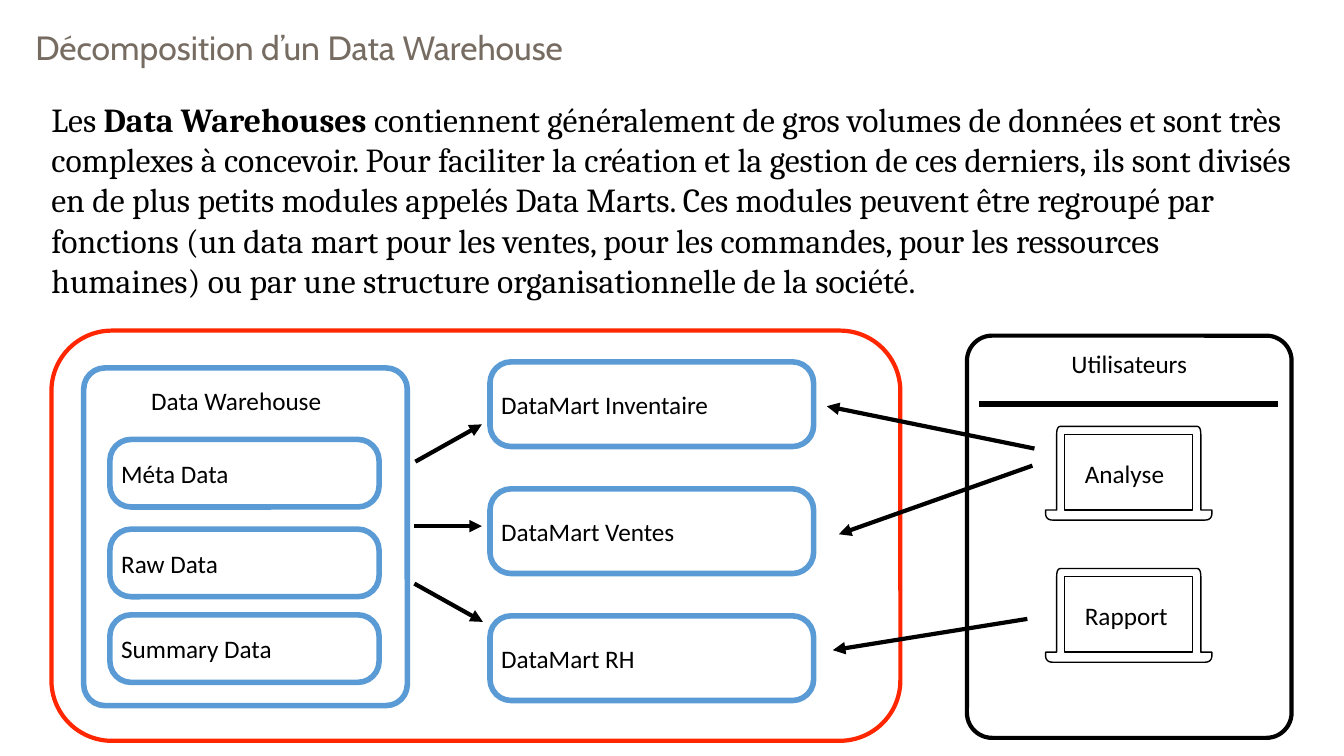
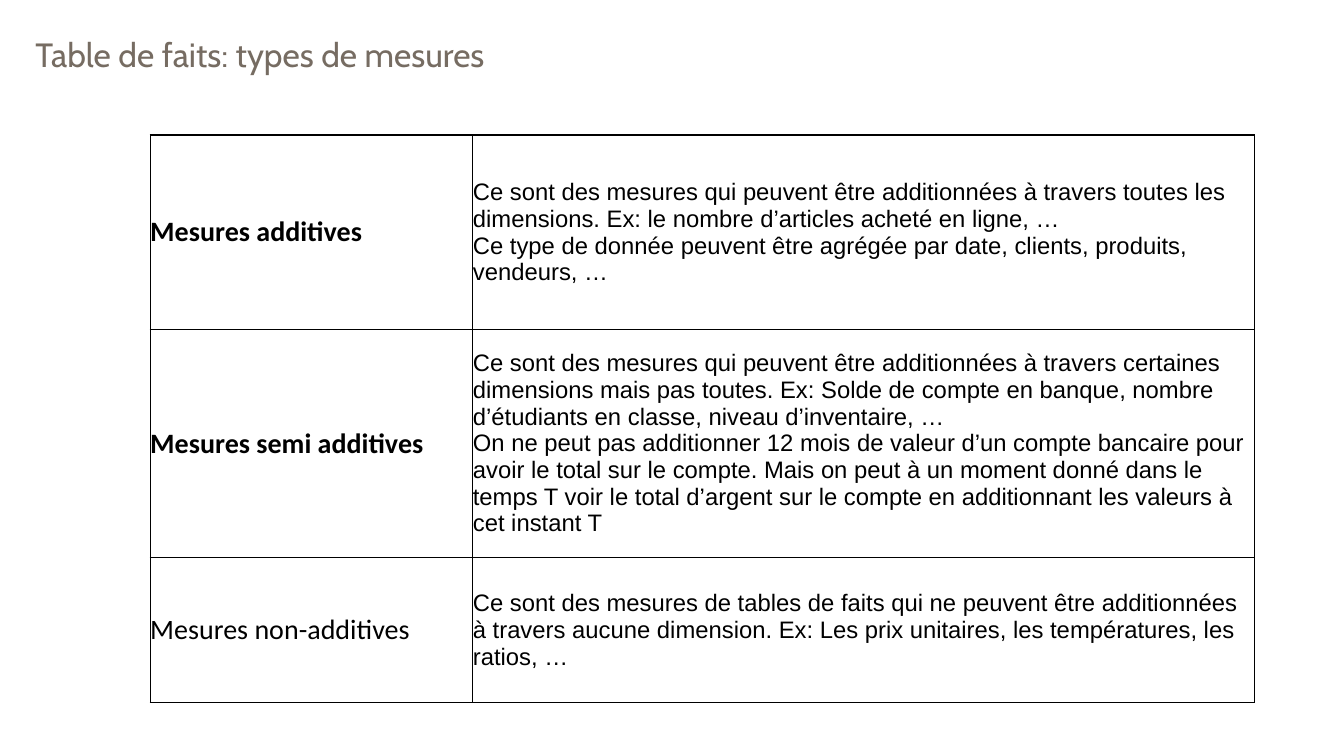
import lxml.etree
import pptx
import pptx.dml.color
import pptx.enum.shapes
import pptx.enum.text
import pptx.oxml
import pptx.oxml.ns
import pptx.util

PX = 9144  # EMU per px, 100 px to the inch
BLACK, WHITE, BLUE, RED, TAUPE = "000000", "FFFFFF", "5B9BD5", "FF2600", "766C62"
SHAPES = pptx.enum.shapes.MSO_SHAPE
ALIGN = pptx.enum.text.PP_ALIGN
ANCHOR = pptx.enum.text.MSO_ANCHOR
FIT = pptx.enum.text.MSO_AUTO_SIZE


def rgb(value):
    return pptx.dml.color.RGBColor.from_string(value)


def emu(*lengths):
    return [length * PX for length in lengths]


def sub(parent, tag, **attrs):
    return lxml.etree.SubElement(parent, pptx.oxml.ns.qn(tag), **attrs)


def write(tf, text, size=18, font="Calibri", color=BLACK, bold=False,
          align=ALIGN.LEFT, anchor=ANCHOR.MIDDLE, spacing=None, inset=5):
    """Fill a text frame; text is a string or a list of (string, bold) runs."""
    tf.margin_left = tf.margin_right = tf.margin_top = tf.margin_bottom = inset * PX
    tf.vertical_anchor = anchor
    p = tf.paragraphs[0]
    p.alignment, p.line_spacing = align, spacing
    for words, strong in [(text, bold)] if isinstance(text, str) else text:
        for i, line in enumerate(words.split("\n")):
            if i:
                p.add_line_break()
            r = p.add_run()
            r.text = line
            r.font.size, r.font.name = pptx.util.Pt(size), font
            r.font.bold, r.font.color.rgb = strong, rgb(color)


def curve(start, corner, end, steps=6):
    """Points of a rounded corner."""
    ts = [i / steps for i in range(steps + 1)]
    return [tuple((1 - t) ** 2 * a + 2 * t * (1 - t) * b + t * t * c
                  for a, b, c in zip(start, corner, end)) for t in ts]


class Deck:
    def __init__(self, width, height):
        self.prs = pptx.Presentation()
        self.prs.slide_width, self.prs.slide_height = emu(width, height)
        self.s = None

    def slide(self, title, top):
        self.s = self.prs.slides.add_slide(self.prs.slide_layouts[5])
        self.s.background.fill.solid()
        self.s.background.fill.fore_color.rgb = rgb(WHITE)
        sp = self.s.shapes.title
        sp.left, sp.top, sp.width, sp.height = emu(30, top, 1085, 50)
        sp.text_frame.word_wrap = True
        sp.text_frame.auto_size = FIT.NONE
        write(sp.text_frame, title, size=24, font="Cabin", color=TAUPE, spacing=0.9)

    def style(self, sp, line, weight):
        sp.shadow.inherit = False
        sp.fill.solid()
        sp.fill.fore_color.rgb = rgb(WHITE)
        sp.line.color.rgb = rgb(line)
        sp.line.width = pptx.util.Pt(weight)

    def text(self, x, y, w, h, text, wrap=False, **fmt):
        tf = self.s.shapes.add_textbox(*emu(x, y, w, h)).text_frame
        tf.word_wrap = wrap
        tf.auto_size = FIT.SHAPE_TO_FIT_TEXT
        write(tf, text, anchor=ANCHOR.TOP, **fmt)

    def box(self, x, y, w, h, text="", line=BLUE, weight=4, radius=21, **fmt):
        sp = self.s.shapes.add_shape(SHAPES.ROUNDED_RECTANGLE, *emu(x, y, w, h))
        sp.adjustments[0] = radius / min(w, h)
        self.style(sp, line, weight)
        if text:
            sp.text_frame.word_wrap = True
            write(sp.text_frame, text, **fmt)

    def line(self, x1, y1, x2, y2, weight=3, arrow=True):
        kind = pptx.enum.shapes.MSO_CONNECTOR.STRAIGHT
        cx = self.s.shapes.add_connector(kind, *emu(x1, y1, x2, y2))
        cx.line.color.rgb = rgb(BLACK)
        cx.line.width = pptx.util.Pt(weight)
        if arrow:
            sub(cx.line._get_or_add_ln(), "a:tailEnd", type="triangle")
        sub(cx._element.spPr, "a:effectLst")

    def laptop(self, x, y, w=165):
        half = (curve((15, 0), (11, 0), (11, 8)) + [(11, 83), (0, 83)]
                + curve((0, 86), (0, 93), (7, 93)))
        outline = half + [(w - px, py) for px, py in reversed(half)]
        screen = [(19, 8), (w - 19, 8), (w - 19, 83), (19, 83)]
        fb = None
        for contour in (outline, screen):
            points = [emu(x + px, y + py) for px, py in contour]
            if fb is None:
                fb = self.s.shapes.build_freeform(*points[0], scale=1.0)
            else:
                fb.move_to(*points[0])
            fb.add_line_segments(points[1:], close=True)
        self.style(fb.convert_to_shape(), BLACK, 1)

    def table(self, x, y, widths, heights, rows, formats):
        frame = self.s.shapes.add_table(len(rows), len(widths),
                                        *emu(x, y, sum(widths), sum(heights)))
        table = frame.table
        table.first_row = table.horz_banding = False
        for col, width in zip(table.columns, widths):
            col.width = width * PX
        for i, (height, row) in enumerate(zip(heights, rows)):
            table.rows[i].height = height * PX
            for j, (text, fmt) in enumerate(zip(row, formats)):
                self.cell(table.cell(i, j), text, fmt)

    def cell(self, cell, text, fmt):
        # Borders come before the fill in the cell properties
        tcPr = cell._tc.get_or_add_tcPr()
        for side in "LRTB":
            ln = sub(tcPr, "a:ln" + side, w=str(pptx.util.Pt(1)))
            sub(sub(ln, "a:solidFill"), "a:srgbClr", val=BLACK)
        cell.fill.solid()
        cell.fill.fore_color.rgb = rgb(WHITE)
        cell.margin_left = cell.margin_right = cell.margin_top = cell.margin_bottom = 0
        cell.vertical_anchor = ANCHOR.MIDDLE
        write(cell.text_frame, text, inset=0, **fmt)


def warehouse_slide(deck):
    deck.slide("Décomposition d’un Data Warehouse", 24)
    deck.text(46, 93, 1262, 211, [
        ("Les ", False), ("Data Warehouses ", True),
        ("contiennent généralement de gros volumes de données et sont très complexes "
         "à concevoir. Pour faciliter la création et la gestion de ces derniers, ils "
         "sont divisés en de plus petits modules appelés Data Marts. Ces modules "
         "peuvent être regroupé par fonctions (un data mart pour les ventes, pour les "
         "commandes, pour les ressources humaines) ou par une structure "
         "organisationnelle de la société.", False),
    ], wrap=True, size=24, font="Cambria")

    # Frames
    deck.box(51, 328, 842, 407, line=RED, weight=3, radius=60)
    deck.box(959, 333, 322, 399, "Utilisateurs", line=BLACK, weight=3, radius=25,
             align=ALIGN.CENTER, anchor=ANCHOR.TOP)
    deck.line(971, 401, 1268, 401, weight=4, arrow=False)

    # Warehouse and data marts
    deck.box(83, 365, 321, 335)
    deck.text(145, 377, 191, 39, "Data Warehouse")
    for y, name in ((436, "Méta Data"), (525, "Raw Data"), (610, "Summary Data")):
        deck.box(109, y, 267, 67, name)
    for i, name in enumerate(("Inventaire", "Ventes", "RH")):
        deck.box(486, 359 + 126 * i, 321, 84, "DataMart " + name)

    # Users
    for y, name, width in ((423, "Analyse", 96), (564, "Rapport", 100)):
        deck.laptop(1037, y)
        deck.text(1071, y + 27, width, 39, name)

    # Flows
    for ends in ((412, 458, 478, 421), (411, 522, 478, 522), (411, 579, 479, 617),
                 (1024, 462, 832, 530), (1026, 445, 820, 403), (1019, 614, 826, 645)):
        deck.line(*ends)


def measures_slide(deck):
    deck.slide("Table de faits: types de mesures", 31)
    rows = [
        ([("Mesures additives", True)],
         "Ce sont des mesures qui peuvent être additionnées à travers toutes les "
         "dimensions. Ex: le nombre d’articles acheté en ligne, …\n"
         "Ce type de donnée peuvent être agrégée par date, clients, produits, "
         "vendeurs, …"),
        ([("Mesures semi additives", True)],
         "Ce sont des mesures qui peuvent être additionnées à travers certaines "
         "dimensions mais pas toutes. Ex: Solde de compte en banque, nombre "
         "d’étudiants en classe, niveau d’inventaire, …\n"
         "On ne peut pas additionner 12 mois de valeur d’un compte bancaire pour avoir "
         "le total sur le compte. Mais on peut à un moment donné dans le temps T voir "
         "le total d’argent sur le compte en additionnant les valeurs à cet instant T"),
        ("Mesures non-additives",
         "Ce sont des mesures de tables de faits qui ne peuvent être additionnées à "
         "travers aucune dimension. Ex: Les prix unitaires, les températures, les "
         "ratios, …"),
    ]
    deck.table(149, 134, (320, 775), (193, 226, 144), rows,
               (dict(size=20), dict(size=17, font="Arial")))


def main():
    deck = Deck(1333, 750)
    warehouse_slide(deck)
    measures_slide(deck)
    deck.prs.save("out.pptx")


if __name__ == "__main__":
    main()
